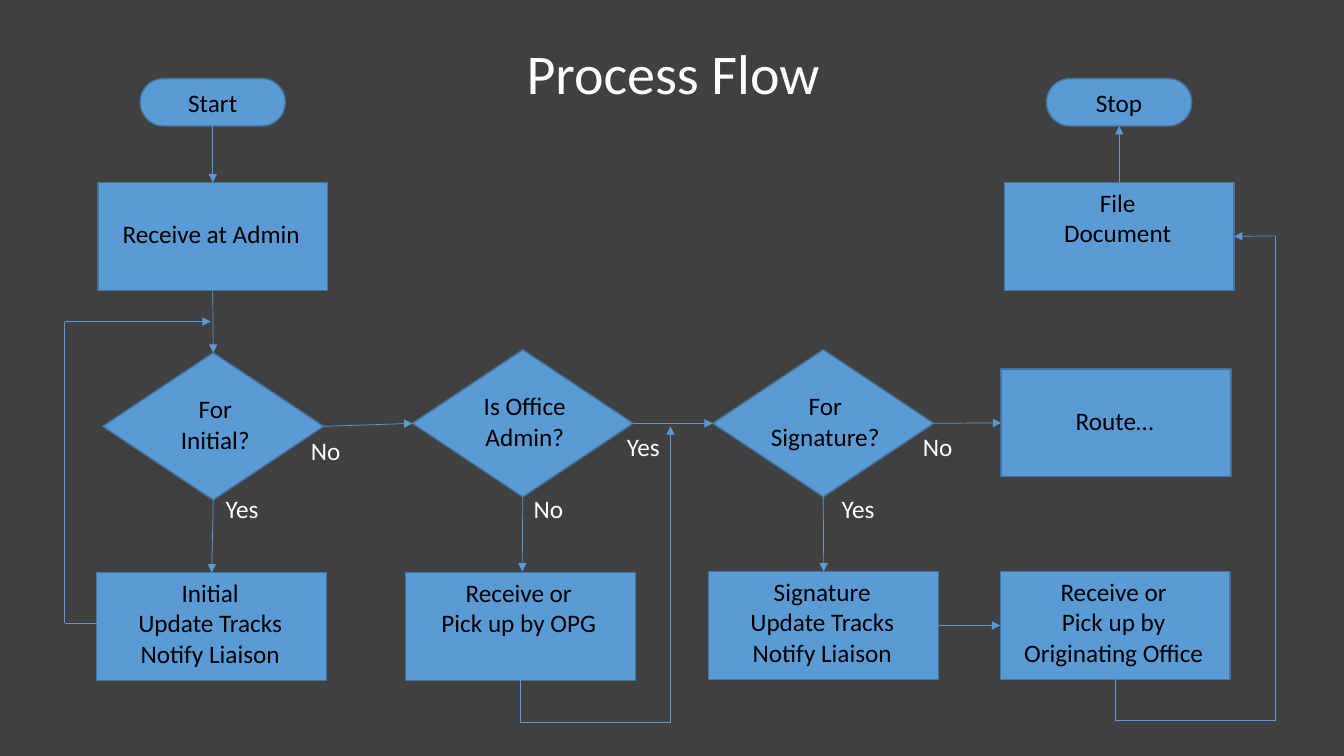
"""Build the Process Flow chart slide."""
import itertools

import lxml.etree
import pptx
import pptx.dml.color
import pptx.enum.shapes
import pptx.enum.text
import pptx.oxml.ns
import pptx.util

PX = 9144
FONT = "Calibri"
GREY = pptx.dml.color.RGBColor(0x40, 0x40, 0x40)
BLUE = pptx.dml.color.RGBColor(0x5B, 0x9B, 0xD5)
OUTLINE = pptx.dml.color.RGBColor(0x43, 0x73, 0x9E)
BLACK = pptx.dml.color.RGBColor(0, 0, 0)
WHITE = pptx.dml.color.RGBColor(0xFF, 0xFF, 0xFF)

KINDS = pptx.enum.shapes.MSO_SHAPE
ANCHORS = pptx.enum.text.MSO_ANCHOR
TOP, LEFT, BOTTOM, RIGHT = range(4)


def px(length):
    """Turn px into EMU."""
    return pptx.util.Emu(length * PX)


def write_lines(frame, lines, size, color):
    """Write each line as a centred paragraph with one run."""
    for index, line in enumerate(lines):
        para = frame.add_paragraph() if index else frame.paragraphs[0]
        para.alignment = pptx.enum.text.PP_ALIGN.CENTER
        span = para.add_run()
        span.text = line
        span.font.name = FONT
        span.font.size = pptx.util.Pt(size)
        span.font.color.rgb = color


def add_title(slide, text):
    """Place the slide title in its placeholder."""
    title = slide.shapes.title
    title.left, title.top, title.width, title.height = map(px, (477, 33, 381, 77))
    frame = title.text_frame
    frame.auto_size = pptx.enum.text.MSO_AUTO_SIZE.NONE
    frame.vertical_anchor = ANCHORS.TOP
    write_lines(frame, [text], 40, WHITE)


def add_node(slide, kind, place, lines, insets, anchor, wrap):
    """Add a filled flowchart shape with its text."""
    node = slide.shapes.add_shape(kind, *map(px, place))
    node.shadow.inherit = False
    node.fill.solid()
    node.fill.fore_color.rgb = BLUE
    node.line.color.rgb = OUTLINE
    node.line.width = pptx.util.Pt(1)
    frame = node.text_frame
    frame.word_wrap = wrap
    frame.vertical_anchor = anchor
    (frame.margin_left, frame.margin_top,
     frame.margin_right, frame.margin_bottom) = map(px, insets)
    write_lines(frame, lines, 18, BLACK)
    return node


def add_terminator(slide, left, text):
    """Add a start or stop shape."""
    return add_node(slide, KINDS.FLOWCHART_TERMINATOR, (left, 78, 144, 47),
                    [text], (0, 1, 0, 0), ANCHORS.MIDDLE, False)


def add_process(slide, left, top, *lines):
    """Add a process box, with a single line centred and several at the top."""
    anchor = ANCHORS.TOP if len(lines) > 1 else ANCHORS.MIDDLE
    return add_node(slide, KINDS.FLOWCHART_PROCESS, (left, top, 228, 107),
                    lines, (14, 5, 17, 10), anchor, True)


def add_decision(slide, left, top, *lines):
    """Add a decision diamond."""
    return add_node(slide, KINDS.FLOWCHART_DECISION, (left, top, 219, 146),
                    lines, (4, 0, 0, 5), ANCHORS.MIDDLE, False)


def add_answer(slide, left, top, text):
    """Add a Yes or No label."""
    box = slide.shapes.add_textbox(px(left), px(top), px(72), px(40))
    box.text_frame.word_wrap = False
    write_lines(box.text_frame, [text], 18, WHITE)


def add_route(slide, *stops):
    """Draw straight lines through points or (node, side) stops, ending in an arrow."""
    for start, end in itertools.pairwise(stops):
        points = [px(0) if hasattr(value, "shape_type") else px(value)
                  for value in start + end]
        line = slide.shapes.add_connector(
            pptx.enum.shapes.MSO_CONNECTOR.STRAIGHT, *points)
        if hasattr(start[0], "shape_type"):
            line.begin_connect(*start)
        if hasattr(end[0], "shape_type"):
            line.end_connect(*end)
        line.line.color.rgb = BLUE
        line.line.width = pptx.util.Pt(0.5)
        properties = line.element.spPr
        if end is stops[-1]:
            stroke = properties.find(pptx.oxml.ns.qn("a:ln"))
            tail = lxml.etree.SubElement(stroke, pptx.oxml.ns.qn("a:tailEnd"))
            tail.set("type", "triangle")
        lxml.etree.SubElement(properties, pptx.oxml.ns.qn("a:effectLst"))


def main():
    """Build and save the deck."""
    deck = pptx.Presentation()
    deck.slide_width, deck.slide_height = px(1333), px(750)
    slide = deck.slides.add_slide(deck.slide_layouts[5])
    slide.background.fill.solid()
    slide.background.fill.fore_color.rgb = GREY
    add_title(slide, "Process Flow")

    start = add_terminator(slide, 139, "Start")
    stop = add_terminator(slide, 1038, "Stop")
    receive = add_process(slide, 97, 181, "Receive at Admin")
    file_document = add_process(slide, 996, 181, "File", "Document")
    for_initial = add_decision(slide, 102, 350, "For", "Initial?")
    is_admin = add_decision(slide, 409, 347, "Is Office", "Admin?")
    for_signature = add_decision(slide, 707, 347, "For", "Signature?")
    onward = add_process(slide, 993, 366, "Route…")
    initial = add_process(slide, 96, 568, "Initial", "Update Tracks", "Notify Liaison")
    pick_up = add_process(slide, 402, 568, "Receive or", "Pick up by OPG")
    signature = add_process(slide, 703, 567,
                            "Signature", "Update Tracks", "Notify Liaison")
    originating = add_process(slide, 992, 567,
                              "Receive or", "Pick up by Originating Office")

    for left, top, text in [
        (204, 484, "Yes"), (287, 427, "No"), (508, 484, "No"),
        (602, 423, "Yes"), (815, 484, "Yes"), (894, 423, "No"),
    ]:
        add_answer(slide, left, top, text)

    for upper, lower in [(start, receive), (receive, for_initial),
                         (for_initial, initial), (for_signature, signature)]:
        add_route(slide, (upper, BOTTOM), (lower, TOP))
    for before, after in [(for_initial, is_admin), (is_admin, for_signature),
                          (for_signature, onward), (signature, originating)]:
        add_route(slide, (before, RIGHT), (after, LEFT))
    add_route(slide, (is_admin, BOTTOM), (518, 567))
    add_route(slide, (file_document, TOP), (stop, BOTTOM))
    add_route(slide, (96, 618), (64, 618), (64, 319), (209, 319))
    add_route(slide, (pick_up, BOTTOM), (516, 717), (665, 717), (665, 423))
    add_route(slide, (originating, BOTTOM), (1106, 715), (1265, 715),
              (1265, 234), (file_document, RIGHT))

    deck.save("out.pptx")


if __name__ == "__main__":
    main()
